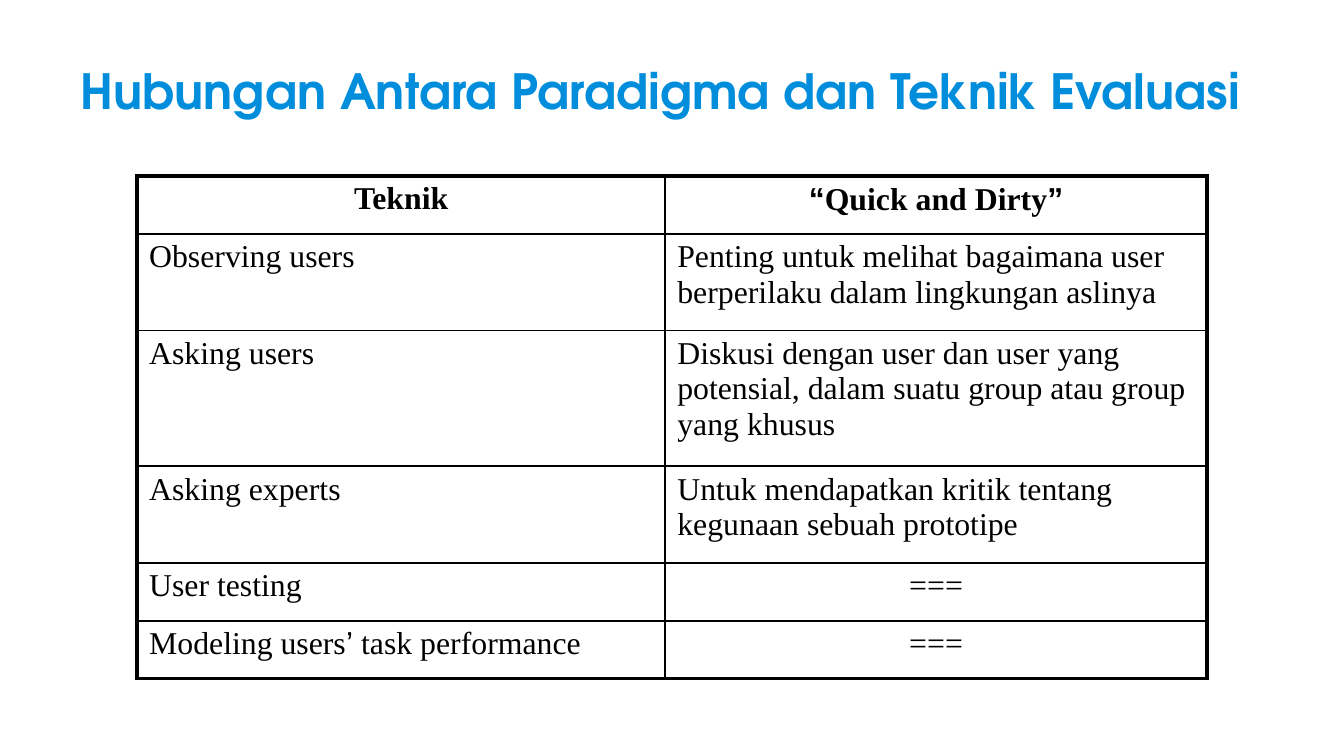
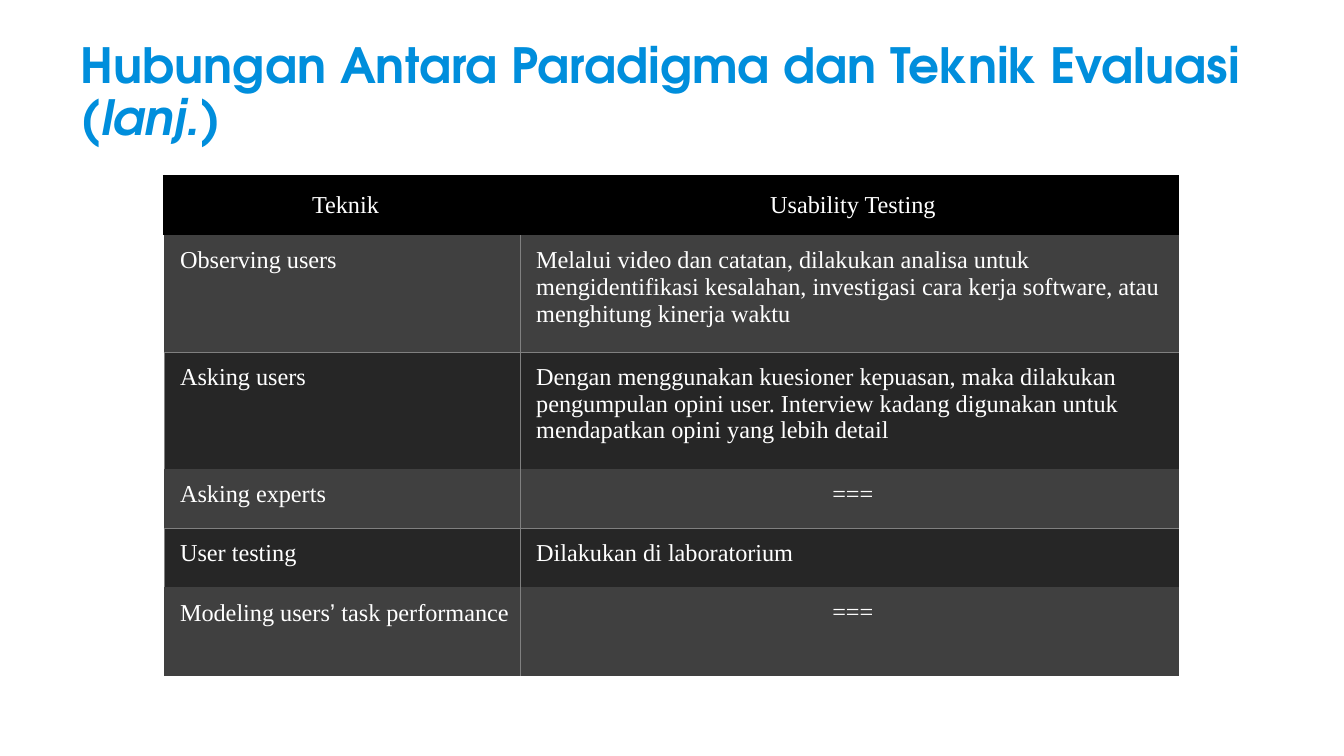
"""Build two slides relating evaluation paradigms to evaluation techniques."""
import itertools

import lxml.etree
import pptx
import pptx.dml.color
import pptx.enum.text
import pptx.oxml.ns
import pptx.util

Inches = pptx.util.Inches
Pt = pptx.util.Pt
qn = pptx.oxml.ns.qn
PP_ALIGN = pptx.enum.text.PP_ALIGN
ANCHOR = pptx.enum.text.MSO_ANCHOR

COLORS = {
    "title": "008EDC",
    "black": "000000",
    "white": "FFFFFF",
    "grid": "808080",
    "light_row": "404040",
    "dark_row": "262626",
}
TITLE = "Hubungan Antara Paradigma dan Teknik Evaluasi"
TECHNIQUES = ["Observing users", "Asking users", "Asking experts",
              "User testing", "Modeling users’ task performance"]
QUICK_AND_DIRTY = [
    "Penting untuk melihat bagaimana user berperilaku dalam lingkungan aslinya",
    "Diskusi dengan user dan user yang potensial, dalam suatu group atau group yang khusus",
    "Untuk mendapatkan kritik tentang kegunaan sebuah prototipe",
    "===",
    "===",
]
USABILITY_TESTING = [
    "Melalui video dan catatan, dilakukan analisa untuk mengidentifikasi kesalahan, "
    "investigasi cara kerja software, atau menghitung kinerja waktu",
    "Dengan menggunakan kuesioner kepuasan, maka dilakukan pengumpulan opini user. "
    "Interview kadang digunakan untuk mendapatkan opini yang lebih detail",
    "===",
    "Dilakukan di laboratorium",
    "===",
]
NO_STYLE = "{2D5ABB26-0587-4C30-8999-92F81FD0307C}"


def rgb(name):
    return pptx.dml.color.RGBColor.from_string(COLORS[name])


def framed_borders(row, col, last_row):
    thin, thick = ("black", 1), ("black", 2.25)
    return {"L": thin if col else thick,
            "R": thick if col else thin,
            "T": thin if row else thick,
            "B": thick if row == last_row else thin}


def banded_borders(row, col, last_row):
    if row == 0:
        edge = ("black", 1.5)
        return {"T": edge} if col else {"L": edge, "T": edge}
    sides = "L" if col else "R"
    if row % 2 == 0:
        sides += "T" if col else "LT"
    elif row < last_row:
        sides += "B"
    return {side: ("grid", 0.5) for side in sides}


def banded_fill(row):
    if row == 0:
        return "black"
    return "light_row" if row % 2 else "dark_row"


class Deck:
    """Holds the presentation, its style and the current slide."""

    title_font = "TeX Gyre Adventor"
    body_font = "Times New Roman"
    quote_font = "Arial"

    def __init__(self):
        self.prs = pptx.Presentation()
        self.prs.slide_width = Inches(10)
        self.prs.slide_height = Inches(10 * 9 / 16)

    def slide(self):
        self.s = self.prs.slides.add_slide(self.prs.slide_layouts[6])

    def title(self, *parts):
        sp = self.s.shapes.add_textbox(Inches(0.5), Inches(0.23), Inches(9), Inches(0.94))
        tf = sp.text_frame
        tf.word_wrap = True
        tf.vertical_anchor = ANCHOR.MIDDLE
        p = tf.paragraphs[0]
        p.line_spacing = 0.9
        self.font(p, 26, "title", True)
        p.font.name = self.title_font
        for text, italic in parts:
            r = p.add_run()
            r.text = text
            if italic:
                r.font.italic = True

    def font(self, p, size, color, bold):
        p.font.size = Pt(size)
        p.font.bold = bold
        p.font.color.rgb = rgb(color)

    def words(self, p, text):
        groups = [(quoted, "".join(chars))
                  for quoted, chars in itertools.groupby(text, lambda c: c in "“”’")]
        if len(groups) == 1:
            p.font.name = self.body_font
        for quoted, part in groups:
            r = p.add_run()
            r.text = part
            if len(groups) > 1:
                r.font.name = self.quote_font if quoted else self.body_font

    def borders(self, cell, borders):
        tcPr = cell._tc.get_or_add_tcPr()
        for side in "LRTB":
            ln = lxml.etree.SubElement(tcPr, qn(f"a:ln{side}"))
            if side in borders:
                color, width = borders[side]
                ln.set("w", str(int(Pt(width))))
                fill = lxml.etree.SubElement(ln, qn("a:solidFill"))
                lxml.etree.SubElement(fill, qn("a:srgbClr"), val=COLORS[color])
            else:
                lxml.etree.SubElement(ln, qn("a:noFill"))

    def table(self, left, widths, heights, rows, size, color, margins,
              borders, fill=None, bold_head=False, head_anchor=ANCHOR.TOP):
        sp = self.s.shapes.add_table(len(rows), len(widths), Inches(left), Inches(1.31),
                                     Inches(sum(widths)), Inches(sum(heights)))
        tbl = sp.table
        tbl.horz_banding = False
        tbl._tbl.tblPr.find(qn("a:tableStyleId")).text = NO_STYLE
        for column, width in zip(tbl.columns, widths):
            column.width = Inches(width)
        for row, height in zip(tbl.rows, heights):
            row.height = Inches(height)
        for i, texts in enumerate(rows):
            for j, text in enumerate(texts):
                cell = tbl.cell(i, j)
                (cell.margin_left, cell.margin_top,
                 cell.margin_right, cell.margin_bottom) = map(Inches, margins)
                cell.vertical_anchor = ANCHOR.TOP if i else head_anchor
                self.borders(cell, borders(i, j, len(rows) - 1))
                if fill:
                    cell.fill.solid()
                    cell.fill.fore_color.rgb = rgb(fill(i))
                else:
                    cell.fill.background()
                p = cell.text_frame.paragraphs[0]
                if i == 0 or text == "===":
                    p.alignment = PP_ALIGN.CENTER
                self.font(p, size, color, bold_head and i == 0)
                self.words(p, text)


def main():
    deck = Deck()

    deck.slide()
    deck.title((TITLE, False))
    deck.table(1.02, [3.93, 4.03], [0.43, 0.72, 1.01, 0.72, 0.43, 0.43],
               [("Teknik", "“Quick and Dirty”"), *zip(TECHNIQUES, QUICK_AND_DIRTY)],
               17, "black", (0.09, 0.04, 0.09, 0.04), framed_borders, bold_head=True)

    deck.slide()
    deck.title((TITLE + " (", False), ("lanj.", True), (")", False))
    deck.table(1.22, [2.65, 4.9], [0.44, 0.87, 0.87, 0.44, 0.44, 0.66],
               [("Teknik", "Usability Testing"), *zip(TECHNIQUES, USABILITY_TESTING)],
               13, "white", (0.12, 0.09, 0.07, 0.09), banded_borders, banded_fill,
               head_anchor=ANCHOR.MIDDLE)

    deck.prs.save("out.pptx")


if __name__ == "__main__":
    main()
